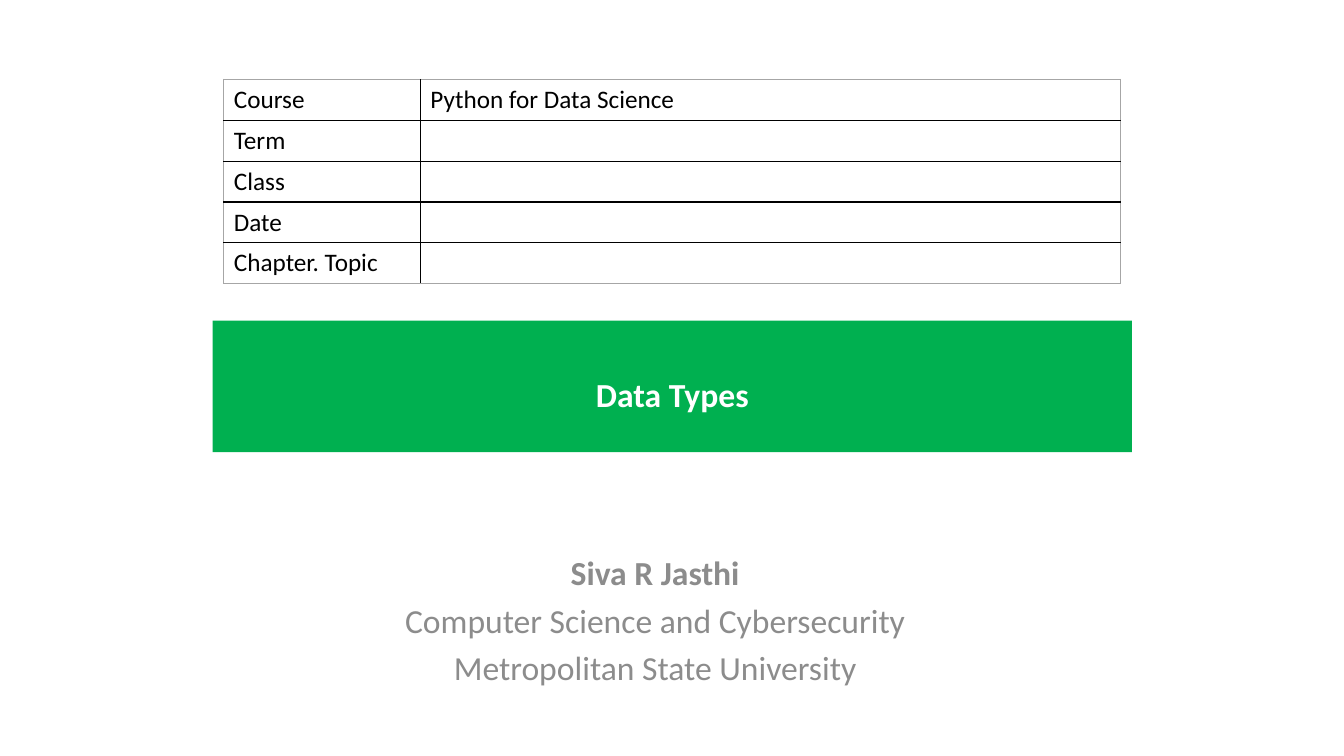
from dataclasses import dataclass
from typing import NamedTuple

from lxml.etree import SubElement
from pptx import Presentation
from pptx.dml.color import RGBColor as RGB
from pptx.enum.shapes import MSO_SHAPE as SHAPE
from pptx.enum.text import MSO_ANCHOR as ANCHOR, PP_ALIGN as ALIGN
from pptx.oxml.ns import qn
from pptx.slide import Slide
from pptx.table import _Cell as Cell
from pptx.text.text import TextFrame
from pptx.util import Pt


@dataclass(frozen=True)
class Theme:
    font: str = "Calibri"
    ink: str = "000000"
    white: str = "FFFFFF"
    green: str = "00B050"
    grey: str = "8C8C8C"
    frame: str = "A6A6A6"
    heading: float = 24
    body: float = 18
    gap: float = 4.8
    rule: float = 1


class Box(NamedTuple):
    left: float
    top: float
    width: float
    height: float

    def emu(self) -> list[int]:
        return [Pt(v) for v in self]


class Line(NamedTuple):
    text: str
    bold: bool = False


class Detail(NamedTuple):
    label: str
    value: str = ""


THEME = Theme()
DETAILS_BOX = Box(159.9, 56.7, 640.2, 146)
LABEL_WIDTH = 140.4
TITLE_BOX = Box(152, 229, 656.5, 94)
AUTHOR_BOX = Box(172, 391, 592, 106.5)

DETAILS = [
    Detail("Course", "Python for Data Science"),
    Detail("Term"),
    Detail("Class"),
    Detail("Date"),
    Detail("Chapter. Topic"),
]
AUTHOR = [
    Line("Siva R Jasthi", bold=True),
    Line("Computer Science and Cybersecurity"),
    Line("Metropolitan State University"),
]


def add_text(tf: TextFrame, text: str, *, size: float, color: str,
             bold: bool = False, align: ALIGN = ALIGN.LEFT, gap: float = 0) -> None:
    first = not tf.text
    p = tf.paragraphs[0] if first else tf.add_paragraph()
    p.alignment = align
    if not first:
        p.space_before = Pt(gap)
    r = p.add_run()
    r.text = text
    r.font.name = THEME.font
    r.font.size = Pt(size)
    r.font.bold = bold
    r.font.color.rgb = RGB.from_string(color)


def add_border(cell: Cell, side: str, color: str) -> None:
    ln = SubElement(cell._tc.get_or_add_tcPr(), qn(f"a:ln{side}"), w=str(Pt(THEME.rule)))
    fill = SubElement(ln, qn("a:solidFill"))
    SubElement(fill, qn("a:srgbClr"), val=color)


def add_details(s: Slide, box: Box, details: list[Detail]) -> None:
    rows, cols = len(details), len(Detail._fields)
    table = s.shapes.add_table(rows, cols, *box.emu()).table
    table.first_row = table.horz_banding = False
    for col, width in zip(table.columns, (LABEL_WIDTH, box.width - LABEL_WIDTH)):
        col.width = Pt(width)
    for i, detail in enumerate(details):
        table.rows[i].height = Pt(box.height / rows)
        for j, text in enumerate(detail):
            cell = table.cell(i, j)
            edges = {"L": j == 0, "R": j == cols - 1, "T": i == 0, "B": i == rows - 1}
            for side, outer in edges.items():
                add_border(cell, side, THEME.frame if outer else THEME.ink)
            cell.fill.background()
            if text:
                add_text(cell.text_frame, text, size=THEME.body, color=THEME.ink)


def add_title(s: Slide, box: Box, text: str) -> None:
    sp = s.shapes.add_shape(SHAPE.RECTANGLE, *box.emu())
    sp.shadow.inherit = False
    sp.fill.solid()
    sp.fill.fore_color.rgb = RGB.from_string(THEME.green)
    sp.line.fill.background()
    tf = sp.text_frame
    tf.vertical_anchor = ANCHOR.MIDDLE
    tf.margin_top = Pt(14)
    add_text(tf, text, size=THEME.heading, color=THEME.white, bold=True, align=ALIGN.CENTER)


def add_author(s: Slide, box: Box, lines: list[Line]) -> None:
    tf = s.shapes.add_textbox(*box.emu()).text_frame
    tf.word_wrap = True
    for line in lines:
        add_text(tf, line.text, size=THEME.heading, color=THEME.grey,
                 bold=line.bold, align=ALIGN.CENTER, gap=THEME.gap)


def main() -> None:
    prs = Presentation()
    prs.slide_width, prs.slide_height = Pt(960), Pt(540)
    s = prs.slides.add_slide(prs.slide_layouts[6])
    add_author(s, AUTHOR_BOX, AUTHOR)
    add_title(s, TITLE_BOX, "Data Types")
    add_details(s, DETAILS_BOX, DETAILS)
    prs.save("out.pptx")


if __name__ == "__main__":
    main()
